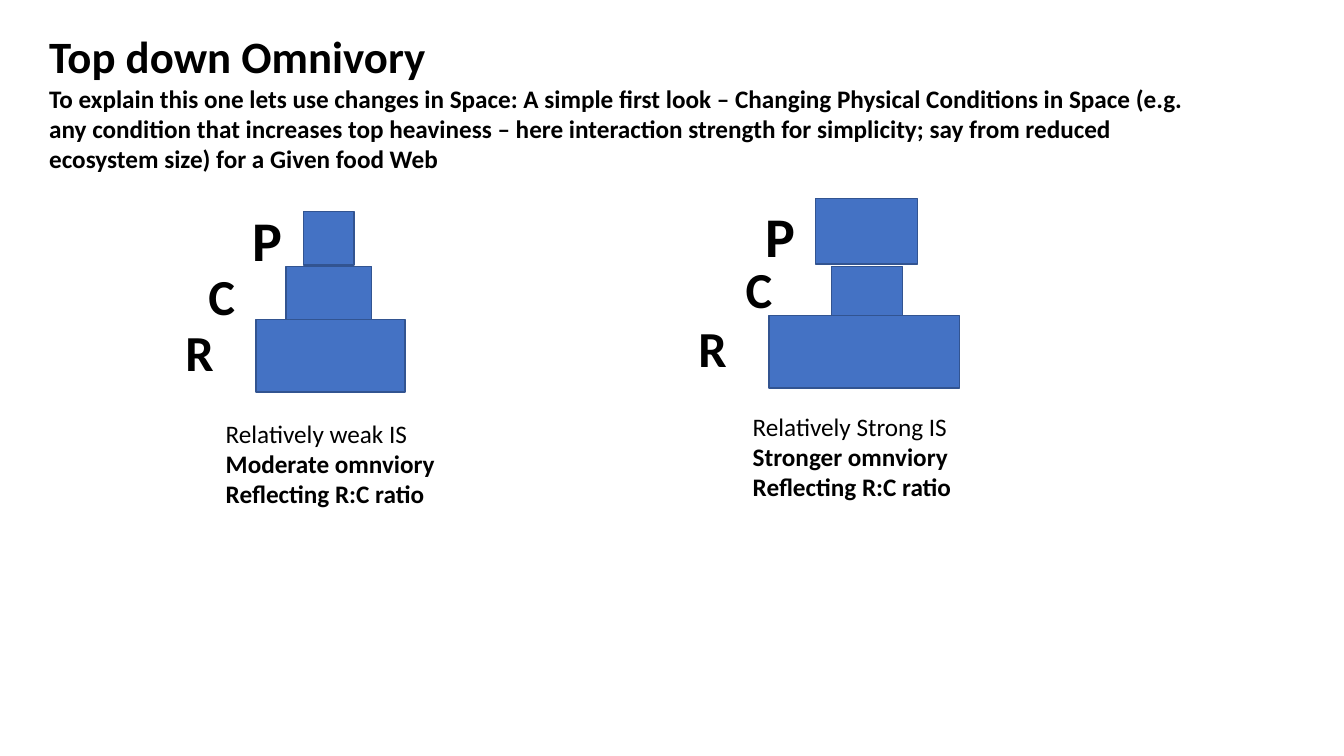
from dataclasses import dataclass
from typing import NamedTuple

from pptx import Presentation
from pptx.dml.color import RGBColor
from pptx.enum.shapes import MSO_SHAPE as Preset
from pptx.enum.text import MSO_ANCHOR as Anchor
from pptx.util import Cm, Pt

FONT = "Calibri"
BLACK = "000000"
BLOCK_FILL = "4472C4"
BLOCK_LINE = "325491"


class Area(NamedTuple):
    left: float
    top: float
    width: float
    height: float


class Line(NamedTuple):
    text: str
    size: float = 18
    bold: bool = True


@dataclass
class Level:
    letter: str
    size: float
    label: Area
    block: Area


@dataclass
class Pyramid:
    levels: list[Level]
    caption: Area
    strength: str
    omnivory: str


def color(value: str) -> RGBColor:
    return RGBColor.from_string(value)


def lengths(area: Area) -> list[Cm]:
    return [Cm(value) for value in area]


def add_text(page, area: Area, lines: list[Line], wrap: bool = False, anchor=Anchor.TOP) -> None:
    frame = page.shapes.add_textbox(*lengths(area)).text_frame
    frame.word_wrap = wrap
    frame.vertical_anchor = anchor
    for index, line in enumerate(lines):
        para = frame.add_paragraph() if index else frame.paragraphs[0]
        span = para.add_run()
        span.text = line.text
        span.font.name = FONT
        span.font.size = Pt(line.size)
        span.font.bold = line.bold
        span.font.color.rgb = color(BLACK)


def add_block(page, area: Area) -> None:
    box = page.shapes.add_shape(Preset.RECTANGLE, *lengths(area))
    box.shadow.inherit = False
    box.fill.solid()
    box.fill.fore_color.rgb = color(BLOCK_FILL)
    box.line.color.rgb = color(BLOCK_LINE)
    box.line.width = Pt(1)


def add_pyramid(page, pyramid: Pyramid) -> None:
    for level in pyramid.levels:
        add_block(page, level.block)
        add_text(page, level.label, [Line(level.letter, level.size)], anchor=Anchor.BOTTOM)
    add_text(page, pyramid.caption, [
        Line(pyramid.strength, bold=False),
        Line(pyramid.omnivory),
        Line("Reflecting R:C ratio"),
    ])


PYRAMIDS = [
    Pyramid(
        [
            Level("R", 36, Area(4.42, 6.4, 1.37, 3.33), Area(6.45, 8.05, 3.76, 1.83)),
            Level("C", 36, Area(5, 5, 1.37, 3.33), Area(7.21, 6.71, 2.16, 1.35)),
            Level("P", 40, Area(6.12, 5.03, 1.27, 1.96), Area(7.65, 5.33, 1.27, 1.35)),
        ],
        Area(5.44, 10.41, 5.82, 2.57), "Relatively weak IS", "Moderate omnviory",
    ),
    Pyramid(
        [
            Level("R", 36, Area(17.35, 6.3, 1.37, 3.33), Area(19.38, 7.95, 4.8, 1.83)),
            Level("C", 36, Area(18.54, 4.83, 1.37, 3.33), Area(20.96, 6.71, 1.78, 1.24)),
            Level("P", 40, Area(19.05, 4.93, 1.27, 1.96), Area(20.55, 5, 2.57, 1.65)),
        ],
        Area(18.72, 10.24, 5.56, 3.33), "Relatively Strong IS", "Stronger omnviory",
    ),
]

deck = Presentation()
deck.slide_width, deck.slide_height = Cm(33.87), Cm(19.05)
page = deck.slides.add_slide(deck.slide_layouts[6])
add_text(page, Area(0.99, 0.61, 29.95, 3.94), [
    Line("Top down Omnivory", 32),
    Line(
        "To explain this one lets use changes in Space: A simple first look – "
        "Changing Physical Conditions in Space (e.g. any condition that increases "
        "top heaviness – here interaction strength for simplicity; say from reduced "
        "ecosystem size) for a Given food Web"
    ),
], wrap=True)
for pyramid in PYRAMIDS:
    add_pyramid(page, pyramid)
deck.save("out.pptx")
